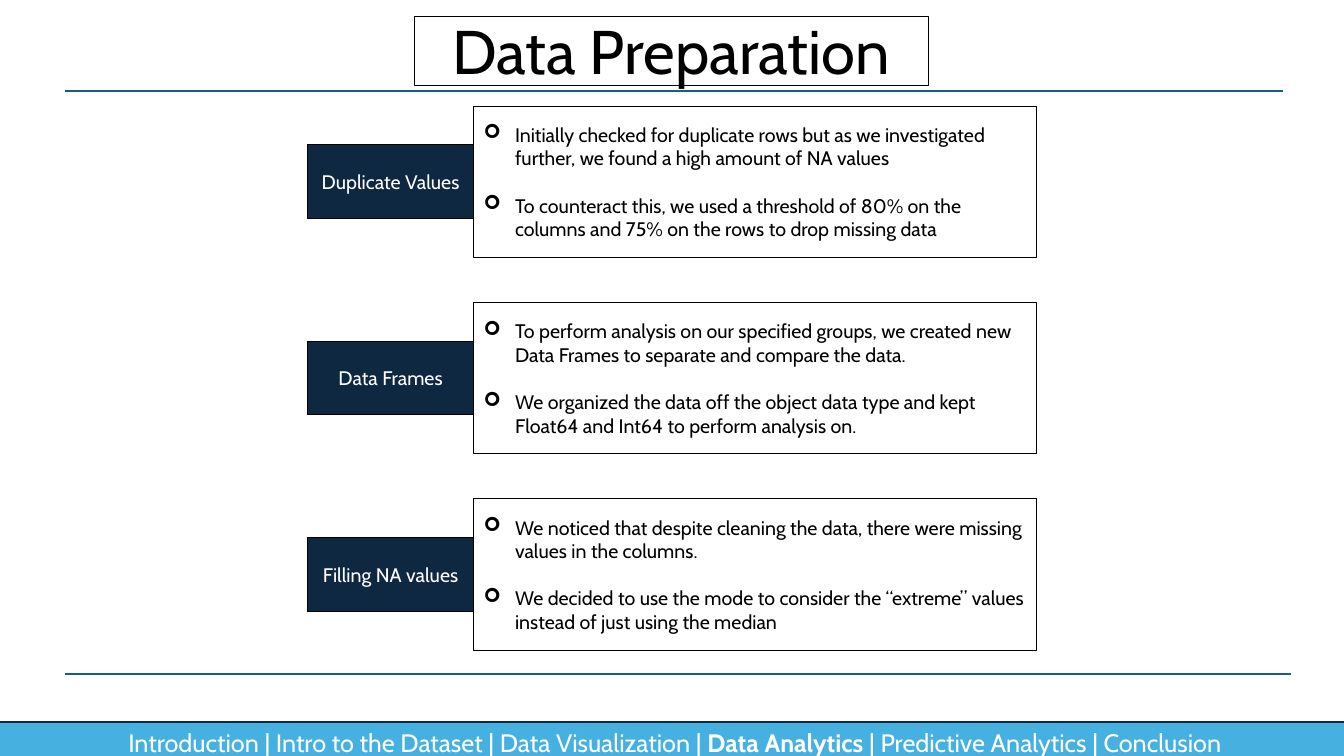
"""Build the Data Preparation slide: three labelled steps above a section bar."""
from dataclasses import dataclass

import lxml.etree
import pptx
import pptx.dml.color
import pptx.enum.shapes
import pptx.enum.text
import pptx.oxml.ns
import pptx.util

Cm = pptx.util.Cm
Pt = pptx.util.Pt
qn = pptx.oxml.ns.qn
ALIGN = pptx.enum.text.PP_ALIGN
ANCHOR = pptx.enum.text.MSO_ANCHOR

FONT = "Cabin"
COLORS = {
    "black": "000000",
    "white": "FFFFFF",
    "navy": "0E2841",
    "rule": "156082",
    "bar": "46B1E1",
    "bar_edge": "092A39",
}

STEP_TOP = 2.67
STEP_PITCH = 4.95
LABEL_LEFT, LABEL_WIDTH, LABEL_HEIGHT = 7.75, 4.19, 1.85
DETAIL_WIDTH, DETAIL_HEIGHT = 14.17, 3.81
BULLET_INDENT = 0.79


@dataclass
class Box:
    left: float
    top: float
    width: float
    height: float
    text: str
    size: float
    color: str = "black"
    fill: str | None = None
    line: str = "black"
    line_width: float = 0.5
    align: ALIGN = ALIGN.CENTER
    anchor: ANCHOR = ANCHOR.MIDDLE


@dataclass
class Rule:
    left: float
    right: float
    y: float


@dataclass
class Step:
    label: str
    points: tuple[str, ...]


RULES = [Rule(1.63, 32.33, 2.29), Rule(1.63, 32.54, 16.99)]

STEPS = [
    Step("Duplicate Values", (
        "Initially checked for duplicate rows but as we investigated further, "
        "we found a high amount of NA values",
        "To counteract this, we used a threshold of 80% on the columns and "
        "75% on the rows to drop missing data",
    )),
    Step("Data Frames", (
        "To perform analysis on our specified groups, we created new Data "
        "Frames to separate and compare the data.",
        "We organized the data off the object data type and kept Float64 and "
        "Int64 to perform analysis on.",
    )),
    Step("Filling NA values", (
        "We noticed that despite cleaning the data, there were missing values "
        "in the columns.",
        "We decided to use the mode to consider the “extreme” values instead "
        "of just using the median",
    )),
]

SECTIONS = ["Introduction", "Intro to the Dataset", "Data Visualization",
            "Data Analytics", "Predictive Analytics", "Conclusion"]
CURRENT = SECTIONS.index("Data Analytics")


def rgb(name: str) -> pptx.dml.color.RGBColor:
    return pptx.dml.color.RGBColor.from_string(COLORS[name])


def format_run(r, size: float, color: str) -> None:
    r.font.name = FONT
    r.font.size = Pt(size)
    r.font.color.rgb = rgb(color)


def add_box(s, box: Box):
    sp = s.shapes.add_shape(
        pptx.enum.shapes.MSO_SHAPE.RECTANGLE,
        Cm(box.left), Cm(box.top), Cm(box.width), Cm(box.height))
    sp.shadow.inherit = False
    if box.fill:
        sp.fill.solid()
        sp.fill.fore_color.rgb = rgb(box.fill)
    else:
        sp.fill.background()
    sp.line.color.rgb = rgb(box.line)
    sp.line.width = Pt(box.line_width)
    tf = sp.text_frame
    tf.word_wrap = True
    tf.vertical_anchor = box.anchor
    tf.text = box.text
    for p in tf.paragraphs:
        p.alignment = box.align
        for r in p.runs:
            format_run(r, box.size, box.color)
    return sp


def add_rule(s, rule: Rule) -> None:
    sp = s.shapes.add_connector(
        pptx.enum.shapes.MSO_CONNECTOR.STRAIGHT,
        Cm(rule.left), Cm(rule.y), Cm(rule.right), Cm(rule.y))
    sp.line.color.rgb = rgb("rule")
    sp.line.width = Pt(1.5)
    lxml.etree.SubElement(sp._element.spPr, qn("a:effectLst"))


def add_bullet(p) -> None:
    pPr = p._p.get_or_add_pPr()
    pPr.set("marL", str(Cm(BULLET_INDENT)))
    pPr.set("indent", str(-Cm(BULLET_INDENT)))
    lxml.etree.SubElement(pPr, qn("a:buFont"), typeface="Wingdings")
    lxml.etree.SubElement(pPr, qn("a:buChar"), char="➢")


def add_step(s, step: Step, top: float) -> None:
    label_top = top + (DETAIL_HEIGHT - LABEL_HEIGHT) / 2
    add_box(s, Box(LABEL_LEFT, label_top, LABEL_WIDTH, LABEL_HEIGHT,
                   step.label, 14, "white", "navy"))
    sp = add_box(s, Box(LABEL_LEFT + LABEL_WIDTH, top, DETAIL_WIDTH,
                        DETAIL_HEIGHT, "\n".join(step.points), 14,
                        fill="white", align=ALIGN.LEFT))
    for i, p in enumerate(sp.text_frame.paragraphs):
        if i:
            p.space_before = Pt(17)
        add_bullet(p)


def add_section_bar(s) -> None:
    before = " | ".join(SECTIONS[:CURRENT]) + " | "
    after = "| " + " | ".join(SECTIONS[CURRENT + 1:])
    sp = add_box(s, Box(-0.23, 18.19, 34.47, 1.02, before, 18, "white",
                        "bar", "bar_edge", 1.5))
    p = sp.text_frame.paragraphs[0]
    for text, bold in ((SECTIONS[CURRENT] + " ", True), (after, False)):
        r = p.add_run()
        r.text = text
        format_run(r, 18, "white")
        r.font.bold = bold


def main() -> None:
    prs = pptx.Presentation()
    prs.slide_width, prs.slide_height = Cm(33.87), Cm(19.05)
    s = prs.slides.add_slide(prs.slide_layouts[6])
    title = add_box(s, Box(10.44, 0.41, 12.95, 1.75, "Data Preparation", 44,
                           anchor=ANCHOR.TOP))
    title.text_frame.paragraphs[0].line_spacing = 0.9
    for rule in RULES:
        add_rule(s, rule)
    add_section_bar(s)
    for i, step in enumerate(STEPS):
        add_step(s, step, STEP_TOP + i * STEP_PITCH)
    prs.save("out.pptx")


if __name__ == "__main__":
    main()
